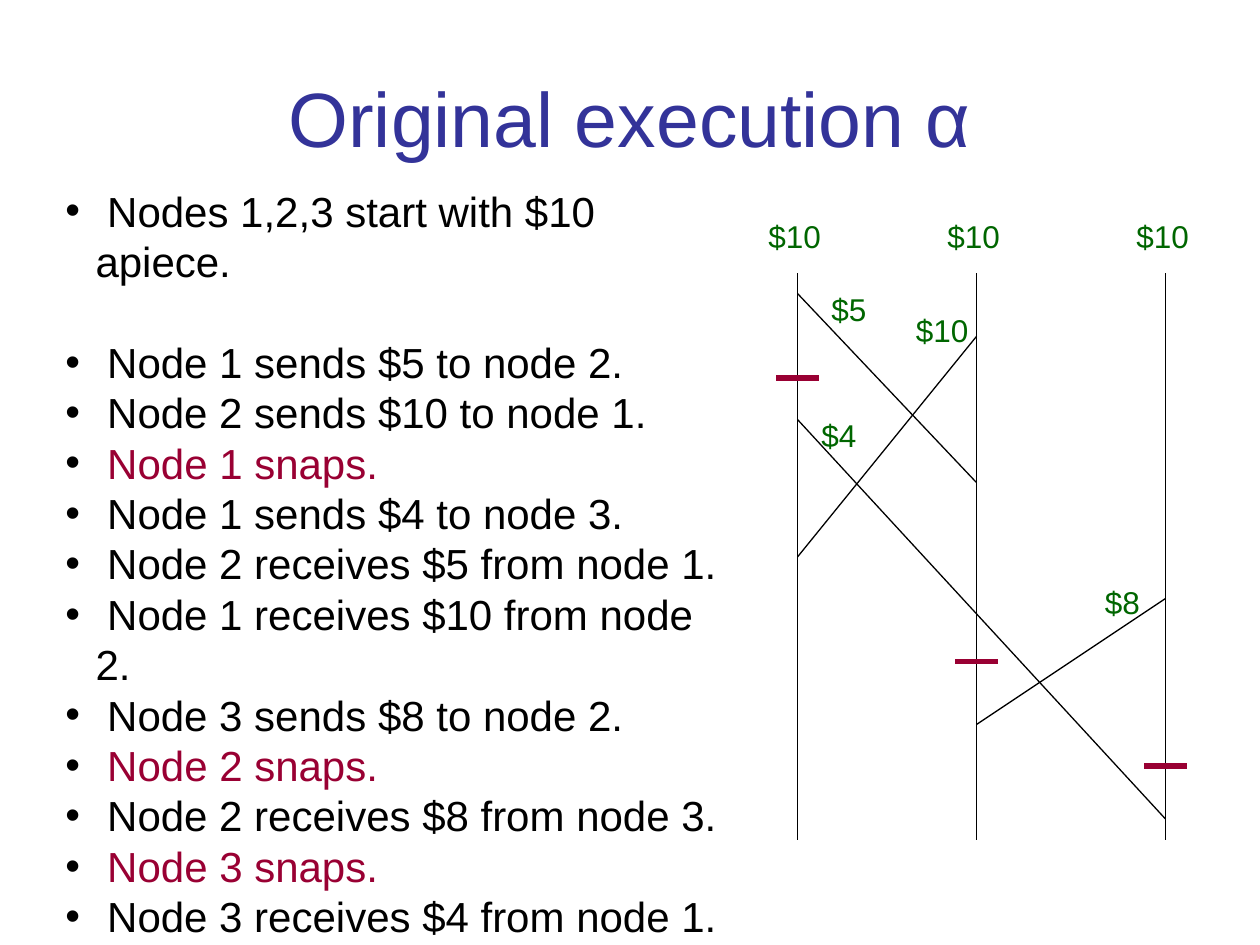
from dataclasses import dataclass

from lxml.etree import SubElement
from pptx import Presentation
from pptx.dml.color import RGBColor
from pptx.enum.shapes import MSO_CONNECTOR as Connector
from pptx.enum.text import MSO_ANCHOR as Anchor, MSO_AUTO_SIZE as AutoSize, PP_ALIGN as Align
from pptx.oxml.ns import qn
from pptx.shapes.group import GroupShape
from pptx.slide import Slide
from pptx.text.text import _Paragraph as Paragraph
from pptx.util import Inches, Pt


@dataclass(frozen=True)
class Theme:
    font: str = "Arial"
    title: RGBColor = RGBColor(0x33, 0x33, 0x99)
    ink: RGBColor = RGBColor(0, 0, 0)
    snap: RGBColor = RGBColor(0x99, 0x00, 0x33)
    money: RGBColor = RGBColor(0x00, 0x66, 0x00)
    title_size: float = 44
    step_size: float = 24
    step_pitch: float = 28.8
    money_size: float = 18
    thin: float = 0.75
    thick: float = 3


@dataclass(frozen=True)
class Step:
    text: str
    is_snap: bool = False
    gap_after: bool = False


@dataclass(frozen=True)
class Transfer:
    sender: int
    sent_at: float
    receiver: int
    received_at: float
    amount: str
    label_x: float
    label_y: float


@dataclass(frozen=True)
class Snap:
    node: int
    y: float


THEME = Theme()
NODE_X = {1: 6.33, 2: 7.75, 3: 9.25}
TIMELINE_TOP, TIMELINE_BOTTOM = 2.17, 6.67
SNAP_HALF_WIDTH = 0.17

STEPS = [
    Step("Nodes 1,2,3 start with $10 apiece.", gap_after=True),
    Step("Node 1 sends $5 to node 2."),
    Step("Node 2 sends $10 to node 1."),
    Step("Node 1 snaps.", is_snap=True),
    Step("Node 1 sends $4 to node 3."),
    Step("Node 2 receives $5 from node 1."),
    Step("Node 1 receives $10 from node 2."),
    Step("Node 3 sends $8 to node 2."),
    Step("Node 2 snaps.", is_snap=True),
    Step("Node 2 receives $8 from node 3."),
    Step("Node 3 snaps.", is_snap=True),
    Step("Node 3 receives $4 from node 1."),
]
TRANSFERS = [
    Transfer(1, 2.33, 2, 3.83, "$5", 6.5, 2.25),
    Transfer(2, 2.67, 1, 4.42, "$10", 7.17, 2.42),
    Transfer(1, 3.33, 3, 6.5, "$4", 6.42, 3.25),
    Transfer(3, 4.75, 2, 5.75, "$8", 8.67, 4.58),
]
SNAPS = [Snap(1, 3), Snap(2, 5.25), Snap(3, 6.08)]


def add_run(paragraph: Paragraph, text: str, size: float, color: RGBColor) -> None:
    run = paragraph.add_run()
    run.text = text
    run.font.name = THEME.font
    run.font.size = Pt(size)
    run.font.color.rgb = color


def add_bullet(paragraph: Paragraph) -> None:
    """Give the paragraph a black bullet with a hanging indent."""
    props = paragraph._p.get_or_add_pPr()
    indent = Inches(0.24)
    props.set("marL", str(indent))
    props.set("indent", str(-indent))
    color = SubElement(props, qn("a:buClr"))
    SubElement(color, qn("a:srgbClr")).set("val", str(THEME.ink))
    SubElement(props, qn("a:buFont")).set("typeface", THEME.font)
    SubElement(props, qn("a:buChar")).set("char", "•")


def add_title(slide: Slide, text: str) -> None:
    frame = slide.shapes.add_textbox(Inches(0.5), Inches(0.3), Inches(9), Inches(1.25)).text_frame
    frame.word_wrap = True
    frame.vertical_anchor = Anchor.MIDDLE
    paragraph = frame.paragraphs[0]
    paragraph.alignment = Align.CENTER
    add_run(paragraph, text, THEME.title_size, THEME.title)


def add_steps(slide: Slide, steps: list[Step]) -> None:
    frame = slide.shapes.add_textbox(Inches(0.42), Inches(1.42), Inches(5.5), Inches(5.88)).text_frame
    frame.word_wrap = True
    for index, step in enumerate(steps):
        paragraph = frame.add_paragraph() if index else frame.paragraphs[0]
        paragraph.line_spacing = Pt(THEME.step_pitch)
        if step.gap_after:
            paragraph.space_after = Pt(THEME.step_pitch)
        add_bullet(paragraph)
        if step.is_snap:
            add_run(paragraph, " ", THEME.step_size, THEME.ink)
            add_run(paragraph, step.text, THEME.step_size, THEME.snap)
        else:
            add_run(paragraph, f" {step.text}", THEME.step_size, THEME.ink)


def add_line(diagram: GroupShape, x1: float, y1: float, x2: float, y2: float,
             color: RGBColor = THEME.ink, width: float = THEME.thin) -> None:
    line = diagram.shapes.add_connector(
        Connector.STRAIGHT, Inches(x1), Inches(y1), Inches(x2), Inches(y2))
    line.line.color.rgb = color
    line.line.width = Pt(width)
    SubElement(line._element.spPr, qn("a:effectLst"))


def add_amount(diagram: GroupShape, x: float, y: float, amount: str) -> None:
    width = 0.2 + 0.14 * len(amount)
    frame = diagram.shapes.add_textbox(Inches(x), Inches(y), Inches(width), Inches(0.4)).text_frame
    frame.word_wrap = False
    frame.auto_size = AutoSize.SHAPE_TO_FIT_TEXT
    add_run(frame.paragraphs[0], amount, THEME.money_size, THEME.money)


def add_diagram(slide: Slide) -> None:
    """Draw the node timelines, the transfers between them and the snapshots."""
    diagram = slide.shapes.add_group_shape()
    for x in NODE_X.values():
        add_line(diagram, x, TIMELINE_TOP, x, TIMELINE_BOTTOM)
        add_amount(diagram, x - 0.33, TIMELINE_TOP - 0.5, "$10")
    for transfer in TRANSFERS:
        add_line(diagram, NODE_X[transfer.sender], transfer.sent_at,
                 NODE_X[transfer.receiver], transfer.received_at)
        add_amount(diagram, transfer.label_x, transfer.label_y, transfer.amount)
    for snap in SNAPS:
        x = NODE_X[snap.node]
        add_line(diagram, x - SNAP_HALF_WIDTH, snap.y, x + SNAP_HALF_WIDTH, snap.y,
                 THEME.snap, THEME.thick)


def main() -> None:
    deck = Presentation()
    deck.slide_width, deck.slide_height = Inches(10), Inches(7.5)
    slide = deck.slides.add_slide(deck.slide_layouts[6])
    add_title(slide, "Original execution α")
    add_steps(slide, STEPS)
    add_diagram(slide)
    deck.save("out.pptx")


if __name__ == "__main__":
    main()
